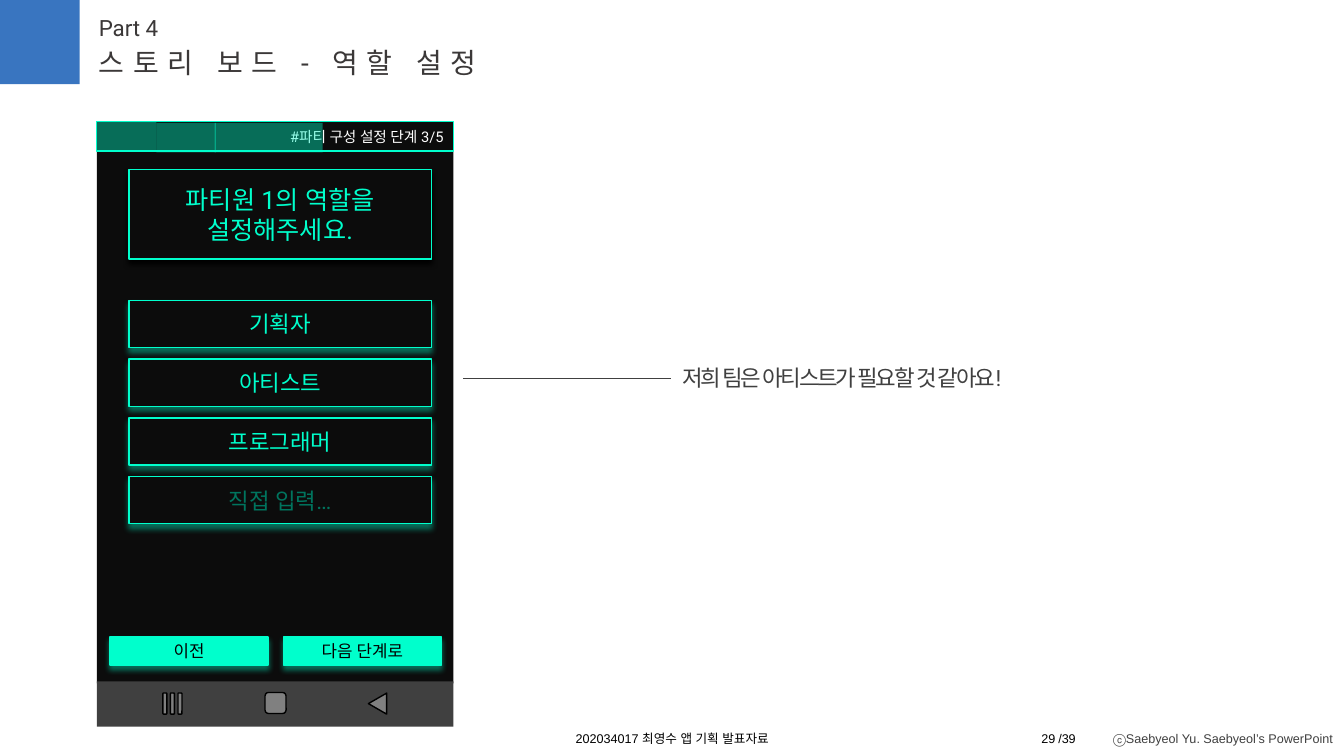
from lxml import etree
from pptx import Presentation
from pptx.dml.color import RGBColor
from pptx.enum import shapes, text
from pptx.oxml import ns
from pptx.util import Cm, Pt

BLUE = RGBColor(0x39, 0x75, 0xC0)
MINT = RGBColor(0x00, 0xFF, 0xCC)
DIM_MINT = RGBColor(0x00, 0x74, 0x5E)
NIGHT = RGBColor(0x0C, 0x0C, 0x0C)
DARK = RGBColor(0x40, 0x40, 0x40)
GREY = RGBColor(0x80, 0x80, 0x80)
TITLE = RGBColor(0x3B, 0x38, 0x38)
BLACK = RGBColor(0x00, 0x00, 0x00)
WHITE = RGBColor(0xFF, 0xFF, 0xFF)

RECT = shapes.MSO_SHAPE.RECTANGLE
ROUND = shapes.MSO_SHAPE.ROUNDED_RECTANGLE
TRIANGLE = shapes.MSO_SHAPE.ISOSCELES_TRIANGLE
LEFT, CENTER, RIGHT = text.PP_ALIGN.LEFT, text.PP_ALIGN.CENTER, text.PP_ALIGN.RIGHT
TOP, MIDDLE = text.MSO_ANCHOR.TOP, text.MSO_ANCHOR.MIDDLE

PHONE_LEFT, PHONE_WIDTH = 2.44, 8.99
FOOTER_TOP, FOOTER_HEIGHT = 18.29, 0.64


def add_child(parent, tag, **attributes):
    return etree.SubElement(parent, ns.qn(tag), attributes)


def write(box, content, size=16, color=BLACK, font="Roboto", align=LEFT,
          anchor=TOP, spacing=None, line_spacing=None, wrap=True):
    """Fill a shape with text, one paragraph per line."""
    frame = box.text_frame
    frame.auto_size = text.MSO_AUTO_SIZE.NONE
    frame.word_wrap = wrap
    frame.vertical_anchor = anchor
    for index, line in enumerate(content.split("\n")):
        para = frame.add_paragraph() if index else frame.paragraphs[0]
        para.alignment = align
        if line_spacing:
            para.line_spacing = line_spacing
        span = para.add_run()
        span.text = line
        span.font.size = Pt(size)
        span.font.name = font
        span.font.color.rgb = color
        properties = span.font._element
        add_child(properties, "a:ea", typeface=font)
        if spacing:
            properties.set("spc", str(int(spacing * 100)))


def add_label(page, area, content, **style):
    box = page.shapes.add_textbox(*map(Cm, area))
    write(box, content, **style)


def add_block(holder, area, fill, line=None, kind=RECT, rotation=0, alpha=None):
    block = holder.shapes.add_shape(kind, *map(Cm, area))
    block.shadow.inherit = False
    block.rotation = rotation
    block.fill.solid()
    block.fill.fore_color.rgb = fill
    if alpha:
        tint = block._element.spPr.find(".//" + ns.qn("a:srgbClr"))
        add_child(tint, "a:alpha", val=str(alpha * 1000))
    if line is None:
        block.line.fill.background()
    else:
        block.line.color.rgb = line
        block.line.width = Pt(1)
    return block


def add_button(holder, area, content, fill=NIGHT, glow=MINT, glow_alpha=40, **style):
    """Add a mint-edged box with a soft shadow below it."""
    button = add_block(holder, area, fill, MINT)
    effects = button._element.spPr.find(ns.qn("a:effectLst"))
    shadow = add_child(effects, "a:outerShdw", blurRad=str(Pt(4)), dist=str(Pt(3)),
                       dir="5400000", algn="t", rotWithShape="0")
    tint = add_child(shadow, "a:srgbClr", val=str(glow))
    add_child(tint, "a:alpha", val=str(glow_alpha * 1000))
    write(button, content, align=CENTER, anchor=MIDDLE, **style)


def add_rule(page, left, top, right):
    rule = page.shapes.add_connector(shapes.MSO_CONNECTOR.STRAIGHT,
                                     Cm(left), Cm(top), Cm(right), Cm(top))
    rule.line.color.rgb = DARK
    rule.line.width = Pt(1)
    add_child(rule._element.spPr, "a:effectLst")


def add_heading(page):
    add_block(page, (0, 0, 2.01, 2.12), BLUE)
    add_label(page, (2.24, 0.23, 2.5, 0.94), "Part 4", color=TITLE)
    title = page.shapes.title
    title.left, title.top, title.width, title.height = map(Cm, (2.24, 1.02, 11.71, 1.12))
    write(title, "스토리 보드 - 역할 설정", size=20, color=TITLE, spacing=6)


def add_footer(page):
    parts = [
        (26.42, 1.32, "/39", LEFT, BLACK, MIDDLE, True),
        (27.74, 6.1, "ⓒSaebyeol Yu. Saebyeol’s PowerPoint", RIGHT, DARK, TOP, False),
        (24.87, 1.98, "29", RIGHT, BLACK, MIDDLE, True),
        (13.89, 6.1, "202034017 최영수 앱 기획 발표자료", CENTER, BLACK, MIDDLE, True),
    ]
    for left, width, content, align, color, anchor, wrap in parts:
        add_label(page, (left, FOOTER_TOP, width, FOOTER_HEIGHT), content, size=9,
                  font="Arial", align=align, color=color, anchor=anchor, wrap=wrap)


def add_phone(page):
    phone = page.shapes.add_group_shape()
    add_block(phone, (PHONE_LEFT, 3.07, PHONE_WIDTH, 14.15), NIGHT)

    # Navigation bar
    add_block(phone, (PHONE_LEFT, 17.17, PHONE_WIDTH, 1.14), DARK)
    add_block(phone, (9.25, 17.5, 0.53, 0.46), GREY, BLACK, TRIANGLE, 270)
    add_block(phone, (6.68, 17.45, 0.53, 0.53), GREY, BLACK, ROUND)
    for bar in range(3):
        add_block(phone, (3.89 + 0.19 * bar, 17.68, 0.53, 0.1), GREY, BLACK, ROUND, 90)

    # Step buttons
    for left, content in ((2.77, "이전"), (7.14, "다음 단계로")):
        add_button(phone, (left, 16.05, 3.99, 0.71), content, fill=MINT, size=12)


def add_screen(page):
    # Progress header
    add_block(page, (PHONE_LEFT, 3.07, PHONE_WIDTH, 0.74), NIGHT, MINT)
    add_block(page, (PHONE_LEFT, 3.07, 1.5, 0.74), MINT, alpha=40)
    add_label(page, (5.05, 3.1, 6.38, 0.71), "#파티 구성 설정 단계 3/5",
              size=10.5, color=WHITE, align=RIGHT, anchor=MIDDLE)
    for left, width in ((3.94, 1.5), (5.41, 2.72)):
        add_block(page, (left, 3.1, width, 0.74), MINT, alpha=40)

    # Prompt and role choices
    add_button(page, (3.25, 4.27, 7.62, 2.26), "파티원 1의 역할을\n설정해주세요.",
               glow=BLACK, glow_alpha=100, size=18, color=MINT)
    roles = [("기획자", MINT), ("아티스트", MINT), ("프로그래머", MINT), ("직접 입력…", DIM_MINT)]
    for index, (role, color) in enumerate(roles):
        add_button(page, (3.25, 7.57 + 1.48 * index, 7.62, 1.19), role, color=color)


def main():
    deck = Presentation()
    deck.slide_width, deck.slide_height = Cm(33.87), Cm(19.05)
    page = deck.slides.add_slide(deck.slide_layouts.get_by_name("Title Only"))

    add_footer(page)
    add_heading(page)

    # Remark beside the phone
    add_label(page, (16.94, 8.92, 14.33, 1.02), "저희 팀은 아티스트가 필요할 것 같아요!",
              color=DARK, align=text.PP_ALIGN.JUSTIFY, spacing=-1.5, line_spacing=1.2)
    add_rule(page, 11.68, 9.53, 16.92)

    add_phone(page)
    add_screen(page)
    deck.save("out.pptx")


if __name__ == "__main__":
    main()
